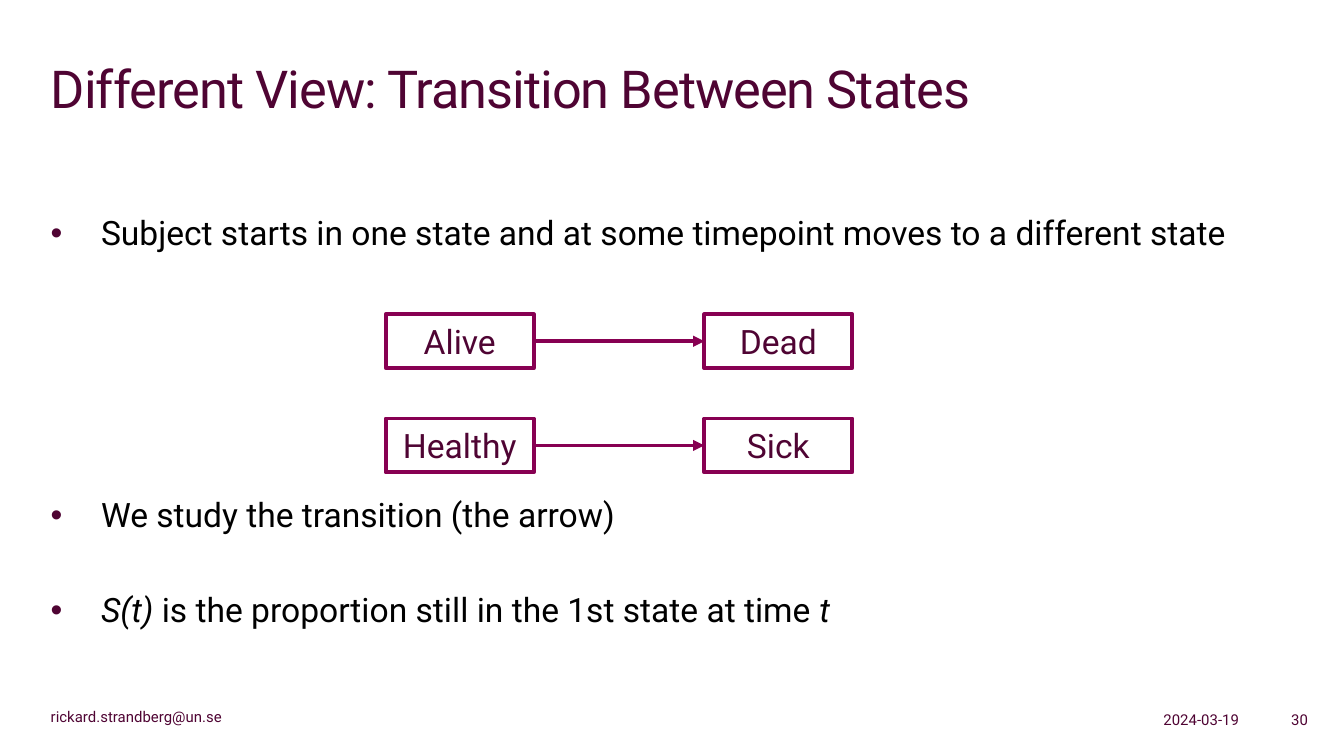
"""Build a slide on survival as a transition between two states."""
import pptx
import pptx.dml.color
import pptx.enum.shapes
import pptx.enum.text
import pptx.oxml.ns
import pptx.util
from lxml import etree

Cm = pptx.util.Cm
Pt = pptx.util.Pt
qn = pptx.oxml.ns.qn
ALIGN = pptx.enum.text.PP_ALIGN
ANCHOR = pptx.enum.text.MSO_ANCHOR

DARK_PLUM = pptx.dml.color.RGBColor(0x4F, 0x04, 0x33)
PLUM = pptx.dml.color.RGBColor(0x87, 0x00, 0x52)
BLACK = pptx.dml.color.RGBColor(0, 0, 0)
WHITE = pptx.dml.color.RGBColor(255, 255, 255)


def add_run(paragraph, text, size, color=DARK_PLUM, italic=False):
    run = paragraph.add_run()
    run.text = text
    run.font.name = "Roboto"
    run.font.size = Pt(size)
    run.font.color.rgb = color
    run.font.italic = italic
    return run


def add_text_frame(left, top, width, height, anchor=ANCHOR.TOP):
    text_frame = slide.shapes.add_textbox(Cm(left), Cm(top), Cm(width), Cm(height)).text_frame
    text_frame.word_wrap = True
    text_frame.vertical_anchor = anchor
    return text_frame


presentation = pptx.Presentation()
presentation.slide_width = Cm(25.4)
presentation.slide_height = Cm(14.29)
slide = presentation.slides.add_slide(presentation.slide_layouts[6])

title = add_text_frame(0.71, 0.94, 23.98, 2.39)
title_run = add_run(title.paragraphs[0], "Different View: Transition Between States", 28)
title_run.font._element.set("spc", "-50")

bullets = [
    (0, [("Subject starts in one state and at some timepoint moves to a different state", False)]),
    (129.5, [("We study the transition (the arrow)", False)]),
    (29.3, [
        ("S(t) ", True),
        ("is the proportion still in the 1st state at time ", False),
        ("t", True),
    ]),
]
body = add_text_frame(0.71, 3.89, 23.98, 8.4)
for index, (space_before, parts) in enumerate(bullets):
    paragraph = body.add_paragraph() if index else body.paragraphs[0]
    paragraph.space_before = Pt(space_before)
    for text, italic in parts:
        add_run(paragraph, text, 18, BLACK, italic)
    properties = paragraph._p.get_or_add_pPr()
    properties.set("marL", str(Cm(0.95)))
    properties.set("indent", str(-Cm(0.95)))
    bullet_color = etree.SubElement(properties, qn("a:buClr"))
    etree.SubElement(bullet_color, qn("a:srgbClr")).set("val", str(DARK_PLUM))
    etree.SubElement(properties, qn("a:buFont")).set("typeface", "Arial")
    etree.SubElement(properties, qn("a:buChar")).set("char", "•")

box_width, box_height = 2.8, 1.02
box_lefts = (7.29, 13.31)
for top, states in ((5.94, ("Alive", "Dead")), (7.91, ("Healthy", "Sick"))):
    for left, state in zip(box_lefts, states):
        box = slide.shapes.add_shape(
            pptx.enum.shapes.MSO_SHAPE.RECTANGLE,
            Cm(left), Cm(top), Cm(box_width), Cm(box_height),
        )
        box.shadow.inherit = False
        box.fill.solid()
        box.fill.fore_color.rgb = WHITE
        box.line.color.rgb = PLUM
        box.line.width = Pt(2)
        box.text_frame.vertical_anchor = ANCHOR.MIDDLE
        box.text_frame.paragraphs[0].alignment = ALIGN.CENTER
        add_run(box.text_frame.paragraphs[0], state, 18)

    middle = Cm(top + box_height / 2)
    arrow = slide.shapes.add_connector(
        pptx.enum.shapes.MSO_CONNECTOR.STRAIGHT,
        Cm(box_lefts[0] + box_width), middle, Cm(box_lefts[1]), middle,
    )
    arrow.line.color.rgb = PLUM
    arrow.line.width = Pt(2)
    etree.SubElement(arrow.line._get_or_add_ln(), qn("a:tailEnd")).set("type", "triangle")
    etree.SubElement(arrow._element.spPr, qn("a:effectLst"))

for text, left, width, alignment, anchor in (
    ("rickard.strandberg@un.se", 0.71, 6.2, ALIGN.LEFT, ANCHOR.MIDDLE),
    ("2024-03-19", 18.39, 5.28, ALIGN.RIGHT, ANCHOR.TOP),
    ("30", 23.06, 1.91, ALIGN.RIGHT, ANCHOR.TOP),
):
    footer = add_text_frame(left, 13.31, width, 0.48, anchor)
    footer.paragraphs[0].alignment = alignment
    add_run(footer.paragraphs[0], text, 8)

presentation.save("out.pptx")
